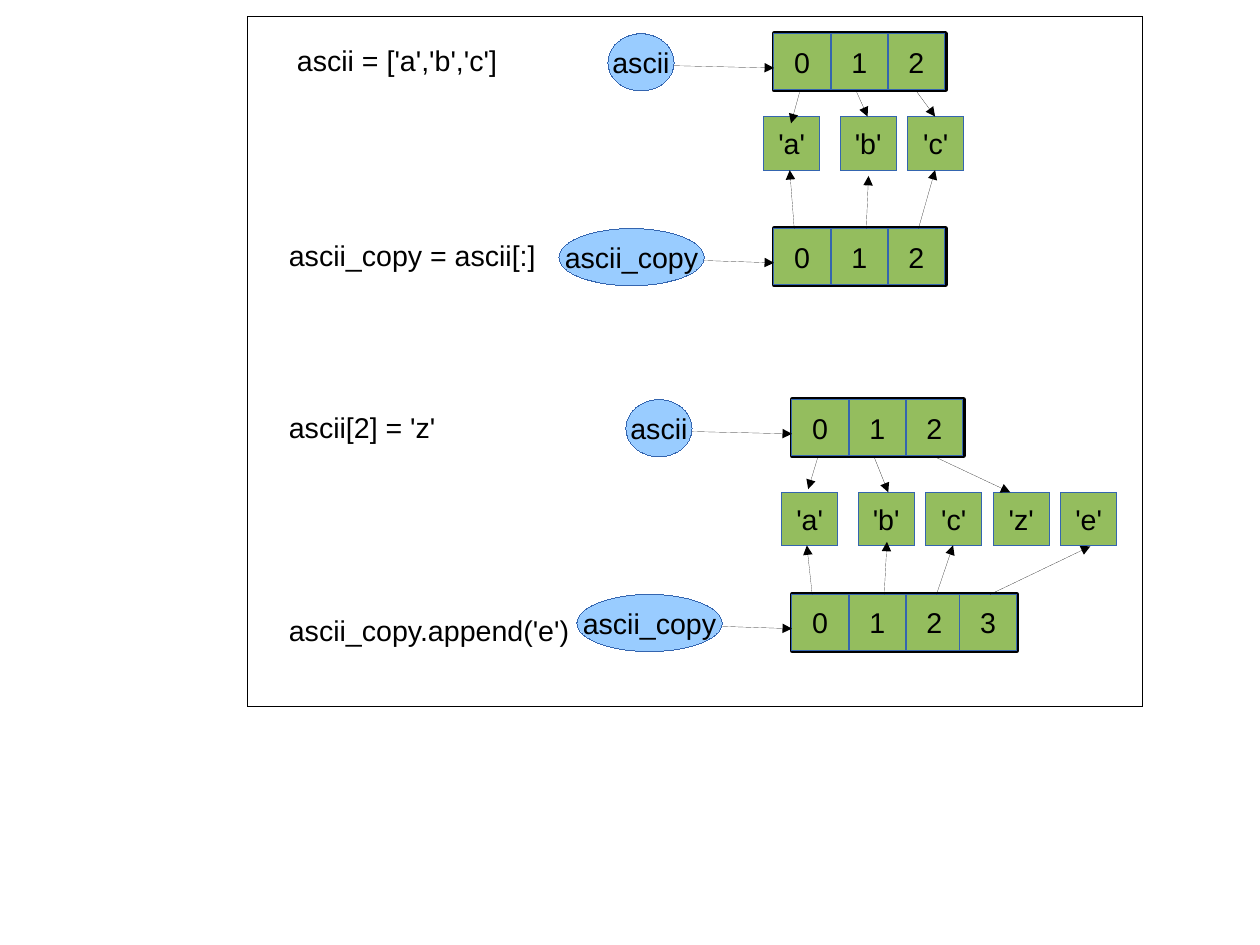
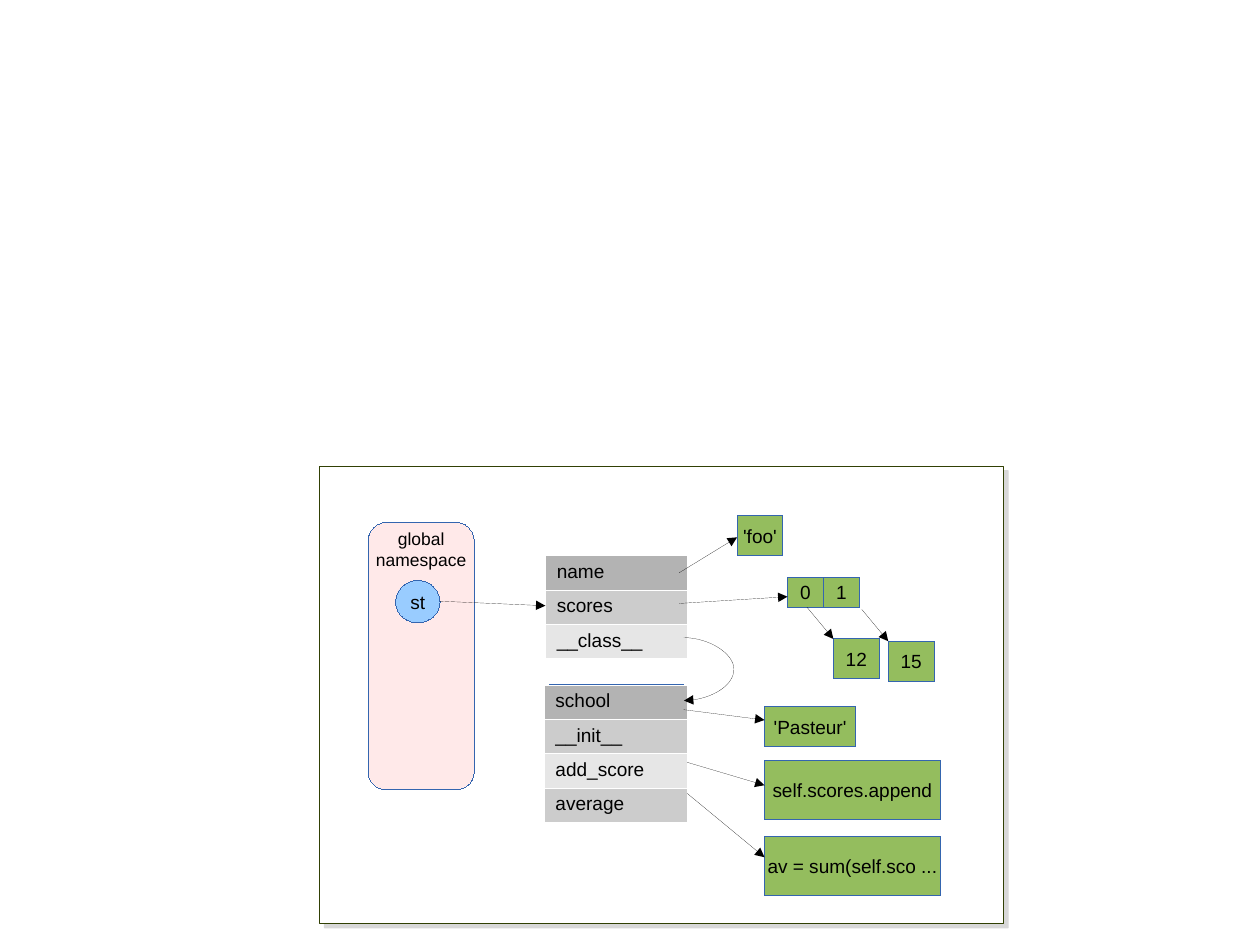
from dataclasses import dataclass

from lxml import etree
from pptx import Presentation
from pptx.dml import color
from pptx.enum import shapes, text
from pptx.oxml import ns
from pptx.util import Cm, Pt

BLACK, WHITE, BLUE, SKY, GREEN = "000000", "FFFFFF", "3465AF", "99CCFF", "94BD5E"
GREYS = ("B3B3B3", "CCCCCC", "E6E6E6", "CCCCCC")
FONT = "Arial"
RECT = shapes.MSO_SHAPE.RECTANGLE
OVAL = shapes.MSO_SHAPE.OVAL
ROUND = shapes.MSO_SHAPE.ROUNDED_RECTANGLE
LEFT, MID = text.PP_ALIGN.LEFT, text.PP_ALIGN.CENTER
Point = tuple[float, float]


@dataclass
class Box:
    x: float
    y: float
    w: float
    h: float
    words: str = ""
    kind: shapes.MSO_SHAPE = RECT
    fill: str = GREEN
    line: str = BLUE
    width: float = 0


@dataclass
class Label:
    x: float
    y: float
    w: float
    h: float
    words: str
    size: float = 18
    align: text.PP_ALIGN = LEFT


@dataclass
class Arrow:
    start: Point
    end: Point


@dataclass
class Half:
    dx: float
    dy: float
    row: float
    letters: str
    count: int
    down: list[Point]
    up: list[Point]


@dataclass
class Grid:
    x: float
    y: float
    w: float
    rows: list[str]


def rgb(code: str) -> color.RGBColor:
    return color.RGBColor.from_string(code)


def sub(node, tag: str, **attrs: str):
    return etree.SubElement(node, ns.qn(tag), attrs)


def strip(shape) -> None:
    node = shape._element
    node.remove(node.find(ns.qn("p:style")))


def style(frame, size: float, align) -> None:
    for par in frame.paragraphs:
        par.alignment = align
        for run in par.runs:
            run.font.size = Pt(size)
            run.font.name = FONT
            run.font.color.rgb = rgb(BLACK)


def draw_box(place, box: Box, size: float):
    shape = place.add_shape(box.kind, Cm(box.x), Cm(box.y), Cm(box.w), Cm(box.h))
    strip(shape)
    shape.fill.solid()
    shape.fill.fore_color.rgb = rgb(box.fill)
    shape.line.color.rgb = rgb(box.line)
    shape.line.width = Pt(box.width)
    shape.shadow.inherit = False
    if box.words:
        frame = shape.text_frame
        frame.text = box.words
        frame.word_wrap = False
        frame.vertical_anchor = text.MSO_ANCHOR.MIDDLE
        style(frame, size, MID)
    return shape


def draw_label(place, label: Label) -> None:
    area = place.add_textbox(Cm(label.x), Cm(label.y), Cm(label.w), Cm(label.h))
    frame = area.text_frame
    frame.text = label.words
    frame.word_wrap = False
    frame.auto_size = text.MSO_AUTO_SIZE.SHAPE_TO_FIT_TEXT
    style(frame, label.size, label.align)


def draw_line(place, arrow: Arrow, shade: str = BLACK, head: bool = True, bulge: float = 0) -> None:
    kind = shapes.MSO_CONNECTOR.CURVE if bulge else shapes.MSO_CONNECTOR.STRAIGHT
    ends = [Cm(n) for n in (*arrow.start, *arrow.end)]
    line = place.add_connector(kind, *ends)
    strip(line)
    line.line.color.rgb = rgb(shade)
    line.line.width = Pt(0)
    props = line._element.spPr
    if head:
        sub(props.find(ns.qn("a:ln")), "a:tailEnd", type="triangle")
    if bulge:
        ratio = round(bulge / (arrow.end[0] - arrow.start[0]) * 100000)
        guides = props.find(".//" + ns.qn("a:avLst"))
        sub(guides, "a:gd", name="adj1", fmla=f"val {ratio}")
    sub(props, "a:effectLst")


def draw_list(place, x: float, y: float, count: int) -> None:
    steps = (0, 1.27, 2.54, 3.73)[:count]
    group = place.add_group_shape().shapes
    draw_box(group, Box(x, y, steps[-1] + 1.27, 1.25, fill="729FCF", line=BLACK, width=2.89), 18)
    for i, step in enumerate(steps):
        draw_box(group, Box(x + step, y, 1.25, 1.25, str(i)), 18)


def draw_half(place, half: Half) -> None:
    dx, dy = half.dx, half.dy
    names = (("ascii", 13.51, 1.47, 0.75, 3), ("ascii_copy", 12.42, 3.23, 5.08, half.count))
    for name, x, w, y, count in names:
        draw_box(place, Box(x + dx, y + dy, w, 1.27, name, OVAL, SKY), 18)
        draw_list(place, 17.2 + dx, y + dy, count)
        draw_line(place, Arrow((x + w + dx, y + dy + 0.71), (17.2 + dx, y + dy + 0.76)))
    for i, letter in enumerate(half.letters):
        x = 17.17 + 1.5 * i if i else 16.97
        draw_box(place, Box(x + dx, half.row, 1.25, 1.19, f"'{letter}'"), 18)
    rows = ((2.01, (17.78, 19.02, 20.35), half.down), (5.08, (17.65, 19.25, 20.41, 21.6), half.up))
    for y, starts, tips in rows:
        for x, tip in zip(starts, tips):
            draw_line(place, Arrow((x + dx, y + dy), tip))


def draw_grid(place, grid: Grid) -> None:
    count = len(grid.rows)
    table = place.add_table(count, 1, Cm(grid.x), Cm(grid.y), Cm(grid.w), Cm(0.74 * count)).table
    table.first_row = table.horz_banding = False
    for i, words in enumerate(grid.rows):
        cell = table.cell(i, 0)
        cell.text = words
        style(cell.text_frame, 12, LEFT)
        props = cell._tc.get_or_add_tcPr()
        for side in "LRTB":
            edge = sub(props, f"a:ln{side}", w=str(Pt(0.06)))
            sub(sub(edge, "a:solidFill"), "a:srgbClr", val=WHITE)
        cell.fill.solid()
        cell.fill.fore_color.rgb = rgb(GREYS[i])


def draw_copy(place) -> None:
    draw_box(place, Box(5.51, 0.36, 19.89, 15.34, fill=WHITE, line=BLACK), 18)
    halves = [
        Half(0, 0, 2.59, "abc", 3,
             [(17.58, 2.74), (19.28, 2.59), (20.78, 2.59)],
             [(17.55, 3.78), (19.3, 3.91), (20.78, 3.78)]),
        Half(0.4, 8.13, 10.94, "abcze", 4,
             [(17.96, 10.87), (19.74, 10.94), (22.45, 10.94)],
             [(17.93, 12.12), (19.71, 12.04), (21.18, 12.12), (24.23, 12.14)]),
    ]
    for half in halves:
        draw_half(place, half)
    labels = [
        Label(6.35, 0.84, 4.95, 0.97, "ascii = ['a','b','c']"),
        Label(6.17, 5.16, 6.17, 0.97, "ascii_copy = ascii[:]"),
        Label(6.17, 8.99, 3.76, 0.97, "ascii[2] = 'z'"),
        Label(6.17, 13.49, 6.85, 0.97, "ascii_copy.append('e')"),
    ]
    for label in labels:
        draw_label(place, label)


def draw_class(place) -> None:
    frame = draw_box(place, Box(7.11, 10.36, 15.19, 10.16, fill=WHITE, line="314004", width=0.71), 12)
    glow = frame._element.spPr.find(ns.qn("a:effectLst"))
    cast = sub(glow, "a:outerShdw", blurRad="0", dist=str(Pt(4.1)), dir="2700000", algn="tl", rotWithShape="0")
    sub(sub(cast, "a:srgbClr", val="808080"), "a:alpha", val="30000")

    scope = draw_box(place, Box(8.18, 11.61, 2.36, 5.94, kind=ROUND, fill="FFC8C8"), 12)
    scope.adjustments[0] = 0.17
    tint = scope._element.spPr.find(ns.qn("a:solidFill"))
    sub(tint[0], "a:alpha", val="40000")
    draw_label(place, Label(7.86, 11.61, 3, 1.45, "global\nnamespace", 11, MID))

    draw_line(place, Arrow((12.22, 15.2), (15.19, 15.2)), BLUE, False)
    draw_grid(place, Grid(12.12, 12.34, 3.15, ["name", "scores", "__class__"]))
    draw_grid(place, Grid(12.09, 15.22, 3.18, ["school", "__init__", "add_score", "average"]))

    boxes = [
        Box(8.79, 12.9, 0.99, 0.94, "st", OVAL, SKY),
        Box(16.38, 11.46, 1.02, 0.89, "'foo'"),
        Box(17.5, 12.83, 0.8, 0.67, "0"),
        Box(18.3, 12.83, 0.8, 0.67, "1"),
        Box(18.52, 14.2, 1.02, 0.89, "12"),
        Box(19.74, 14.25, 1.02, 0.89, "15"),
        Box(16.99, 15.7, 2.03, 0.89, "'Pasteur'"),
        Box(16.99, 16.89, 3.91, 1.32, "self.scores.append"),
        Box(16.99, 18.59, 3.91, 1.32, "av = sum(self.sco ..."),
    ]
    for box in boxes:
        draw_box(place, box, 12)
    arrows = [
        Arrow((9.78, 13.36), (12.12, 13.46)),
        Arrow((15.09, 12.73), (16.38, 11.94)),
        Arrow((15.09, 13.41), (17.5, 13.26)),
        Arrow((17.93, 13.49), (18.52, 14.2)),
        Arrow((19.15, 13.54), (19.74, 14.25)),
        Arrow((15.19, 15.77), (16.99, 16)),
        Arrow((15.27, 16.94), (16.99, 17.45)),
        Arrow((15.27, 17.63), (16.99, 19.05)),
    ]
    for arrow in arrows:
        draw_line(place, arrow)
    draw_line(place, Arrow((15.19, 14.17), (15.2, 15.57)), bulge=1.12)


def main() -> None:
    deck = Presentation()
    deck.slide_width, deck.slide_height = Cm(28), Cm(21)
    for draw in (draw_copy, draw_class):
        draw(deck.slides.add_slide(deck.slide_layouts[6]).shapes)
    deck.save("out.pptx")


if __name__ == "__main__":
    main()
